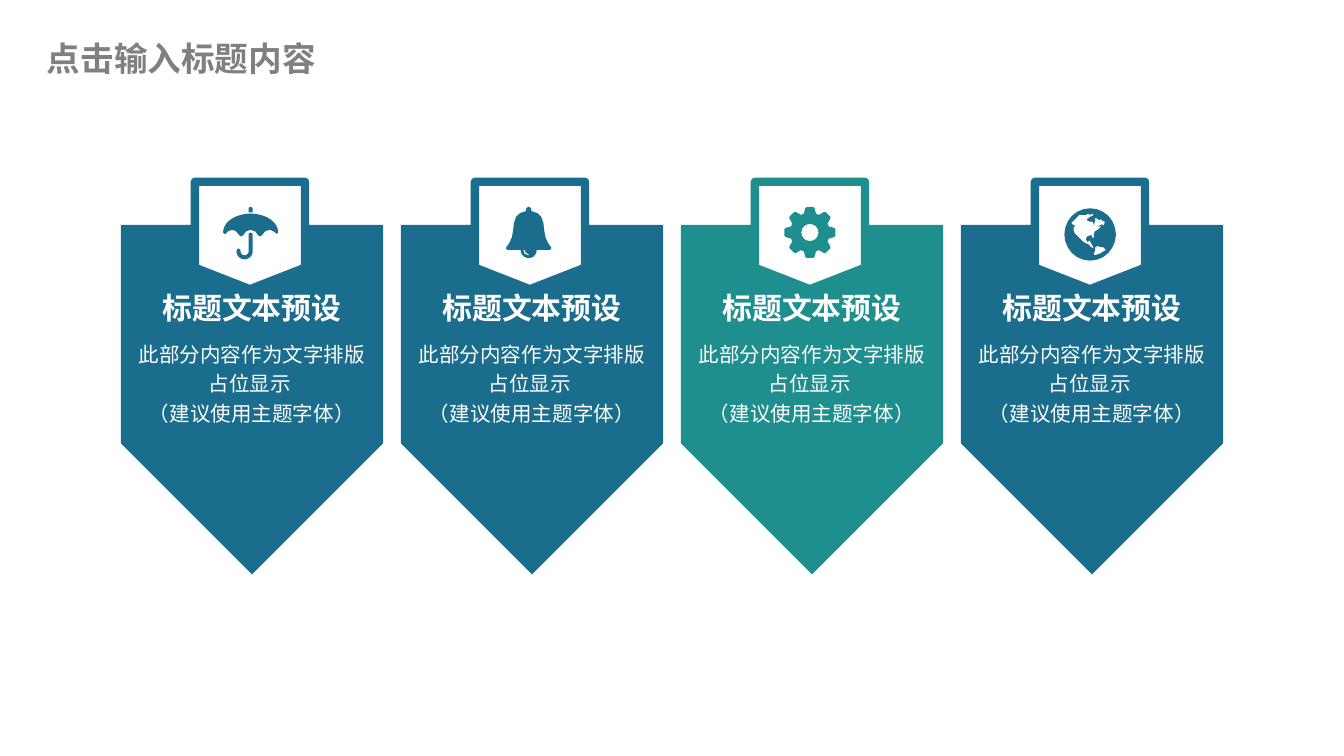
from math import cos, radians, sin

from pptx import Presentation
from pptx.dml.color import RGBColor
from pptx.enum.shapes import MSO_SHAPE as Preset
from pptx.enum.text import MSO_ANCHOR as Anchor, PP_ALIGN as Align
from pptx.util import Pt


def arc(x, y, rx, ry, start, end, steps=24):
    angles = [radians(start + (end - start) * i / steps) for i in range(steps + 1)]
    return [(x + rx * cos(a), y + ry * sin(a)) for a in angles]


def rotate(points, x, y, degrees):
    c, s = cos(radians(degrees)), sin(radians(degrees))
    return [(x + px * c - py * s, y + px * s + py * c) for px, py in points]


BLUE, TEAL, WHITE, GRAY = "1A6D8C", "1F8E8F", "FFFFFF", "808080"
HEADING = "点击输入标题内容"
CARD_TITLE = "标题文本预设"
CARD_BODY = "此部分内容作为文字排版占位显示 \v（建议使用主题字体）"

UMBRELLA = [
    arc(20.5, 19, 20.5, 14, 180, 360) + [
        (40, 20), (38, 18.5), (35, 17), (31.5, 18), (29, 21), (27.5, 22), (26, 21),
        (24, 18.2), (20.5, 17), (17.2, 18.2), (15, 21), (13.5, 22), (12, 21),
        (9.5, 18), (7, 17), (4, 18), (2, 20), (1, 20)],
    arc(16, 33, 6, 6, 0, 180) + [(10.4, 31.5), (11.5, 31), (12.6, 31.5)]
    + arc(16, 33, 3, 3, 180, 0) + [(19, 20), (20.5, 19), (22, 20)],
    [(22, 4), (19, 4)] + arc(20.5, 1.5, 1.5, 1.5, 180, 360),
]

BELL_SIDE = [(16, 32), (17, 30.5), (14.5, 27), (12.5, 22.5), (11.5, 17),
             (11, 12), (9.5, 7.5), (6.5, 4.6), (2, 3)]
BELL = [
    [(17 + x, y) for x, y in BELL_SIDE] + arc(17, 2, 2, 2, 0, -180)
    + [(17 - x, y) for x, y in reversed(BELL_SIDE)] + arc(17, 32, 6, 6, 180, 0),
    [(17, 35), (15, 34.2), (14, 32), (13, 32), (14, 34.8), (17, 36)],
]

TOOTH = [(-4.5, -14), (-3.5, -18), (-2.5, -19), (2.5, -19), (3.5, -18), (4.5, -14)]
GEAR = [
    [point for turn in range(0, 360, 45) for point in rotate(TOOTH, 19, 19, turn)],
    arc(19, 19, 6.3, 6.3, 0, 360),
]

GLOBE = [
    arc(19.2, 19.5, 19.2, 19.5, 0, 360),
    [(25, 14), (26, 13), (28, 12), (29, 13), (30, 11), (30, 10), (28, 9), (27, 8),
     (26, 9), (25, 8), (23, 7), (23, 10), (22, 11), (23, 12), (22, 12), (21, 10),
     (19, 10), (17, 9), (17, 8), (20, 6), (22, 5), (21, 4), (19, 5), (18, 4),
     (16, 5), (14, 5), (11, 5), (8, 8), (5, 11), (6, 12), (8, 13), (7, 14),
     (7, 17), (8, 19), (10, 21), (12, 23), (14, 25), (16, 26), (18, 27), (20, 29),
     (22, 30), (21, 28), (20, 26), (19, 24), (17, 25), (16, 23), (17, 21), (20, 20),
     (21, 22), (22, 22), (22, 19), (23, 17), (25, 16), (27, 14), (27, 13)],
    [(31, 31), (29, 29), (27, 29), (25, 28), (23, 29), (23, 32), (22, 33),
     (22, 35), (26, 34)],
]

CARDS = [(BLUE, UMBRELLA, 54.7, 110.9), (BLUE, BELL, 56.2, 110.9),
         (TEAL, GEAR, 55.4, 110.9), (BLUE, GLOBE, 55.4, 111.6)]
CARD_LEFT, CARD_STEP, CARD_WIDTH = 64.8, 150, 140.4


def color(value):
    return RGBColor.from_string(value)


def paint(shape, fill, line=None):
    shape.shadow.inherit = False
    shape.fill.solid()
    shape.fill.fore_color.rgb = color(fill)
    if line:
        shape.line.color.rgb = color(line)
        shape.line.width = Pt(4.5)
    else:
        shape.line.fill.background()


def add_preset(shapes, kind, area, fill, line=None):
    shape = shapes.add_shape(kind, *map(Pt, area))
    paint(shape, fill, line)
    return shape


def add_icon(shapes, contours, left, top, fill):
    scaled = [[(x * 10, y * 10) for x, y in contour] for contour in contours]
    builder = shapes.build_freeform(*scaled[0][0], scale=Pt(0.072))
    builder.add_line_segments(scaled[0][1:])
    for contour in scaled[1:]:
        builder.move_to(*contour[0])
        builder.add_line_segments(contour[1:])
    paint(builder.convert_to_shape(Pt(left), Pt(top)), fill)


def add_text(shapes, text, area, size, ink, margins, bold=False, align=Align.CENTER,
             font="Calibri", spacing=None):
    box = shapes.add_textbox(*map(Pt, area))
    frame = box.text_frame
    frame.word_wrap = True
    frame.vertical_anchor = Anchor.MIDDLE
    frame.margin_left = frame.margin_right = Pt(margins[0])
    frame.margin_top = frame.margin_bottom = Pt(margins[1])
    frame.text = text
    para = frame.paragraphs[0]
    para.alignment = align
    para.line_spacing = spacing
    para.font.size, para.font.bold, para.font.name = Pt(size), bold, font
    para.font.color.rgb = color(ink)


def add_card(page, left, ink, icon, icon_offset, icon_top):
    shapes = page.shapes.add_group_shape().shapes
    arrow = add_preset(shapes, Preset.DOWN_ARROW, (left, 120.5, CARD_WIDTH, 187.2), ink)
    arrow.adjustments[0], arrow.adjustments[1] = 1, 0.5
    add_preset(shapes, Preset.FLOWCHART_OFFPAGE_CONNECTOR,
               (left + 39.6, 97.4, 59, 57.6), WHITE, ink)
    add_icon(shapes, icon, left + icon_offset, icon_top, ink)
    add_text(shapes, CARD_TITLE, (left, 154.1, CARD_WIDTH, 21.6), 16, WHITE, (0, 0),
             bold=True)
    add_text(shapes, CARD_BODY, (left, 175.7, CARD_WIDTH, 56.9), 11, WHITE, (7.2, 3.6),
             spacing=1.2)


def main():
    deck = Presentation()
    deck.slide_width, deck.slide_height = Pt(720), Pt(405)
    page = deck.slides.add_slide(deck.slide_layouts[6])
    for index, card in enumerate(CARDS):
        add_card(page, CARD_LEFT + index * CARD_STEP, *card)
    add_text(page.shapes, HEADING, (25.2, 15.8, 167.8, 30.2), 18, GRAY, (0, 3.6),
             bold=True, align=Align.LEFT, font="Noto Sans CJK SC")
    deck.save("out.pptx")


if __name__ == "__main__":
    main()
